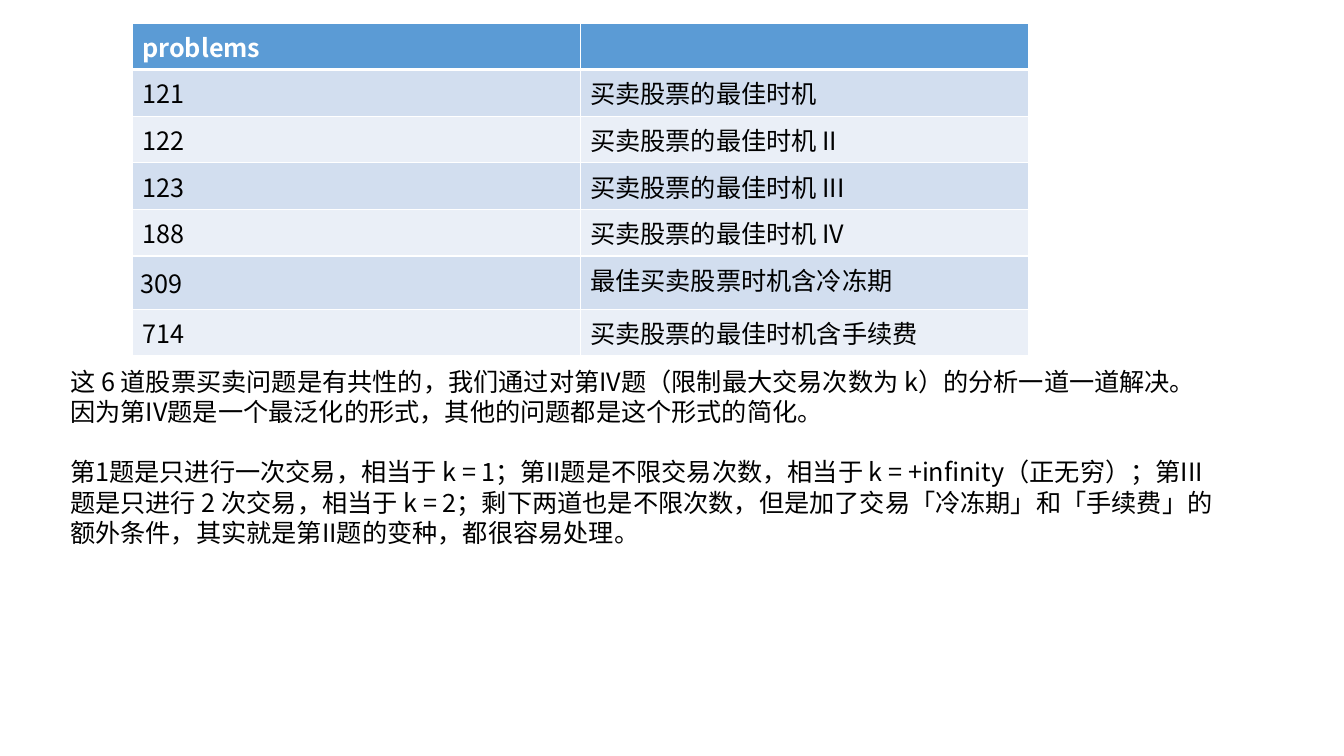
import pptx
import pptx.dml.color
import pptx.oxml.ns
import pptx.util
from lxml import etree

Cm, Pt = pptx.util.Cm, pptx.util.Pt
RGBColor = pptx.dml.color.RGBColor
qn = pptx.oxml.ns.qn

FONT = "Noto Sans CJK SC"
BLACK = RGBColor(0x00, 0x00, 0x00)
WHITE = RGBColor(0xFF, 0xFF, 0xFF)
HEADER_BLUE = RGBColor(0x5B, 0x9B, 0xD5)
BANDS = (RGBColor(0xD2, 0xDE, 0xEF), RGBColor(0xEA, 0xEF, 0xF7))

PROBLEMS = [
    ("problems", ""),
    ("121", "买卖股票的最佳时机"),
    ("122", "买卖股票的最佳时机 II"),
    ("123", "买卖股票的最佳时机 III"),
    ("188", "买卖股票的最佳时机 IV"),
    ("309", "最佳买卖股票时机含冷冻期"),
    ("714", "买卖股票的最佳时机含手续费"),
]
PADDED_PROBLEM = "309"

EXPLANATION = [
    "这 6 道股票买卖问题是有共性的，我们通过对第IV题（限制最大交易次数为 k）的分析"
    "一道一道解决。因为第IV题是一个最泛化的形式，其他的问题都是这个形式的简化。",
    "第1题是只进行一次交易，相当于 k = 1；第II题是不限交易次数，相当于 k = +infinity"
    "（正无穷）；第III题是只进行 2 次交易，相当于 k = 2；剩下两道也是不限次数，但是"
    "加了交易「冷冻期」和「手续费」的额外条件，其实就是第II题的变种，都很容易处理。",
]


def write(paragraph, text, color, bold=False):
    """Put text in a paragraph, with one font for Latin and Chinese."""
    paragraph.text = text
    font = paragraph.font
    font.name, font.size, font.bold = FONT, Pt(18), bold
    font.color.rgb = color
    properties = paragraph._p.pPr.find(qn("a:defRPr"))
    east_asian = etree.Element(qn("a:ea"), typeface=FONT)
    properties.find(qn("a:latin")).addnext(east_asian)


def underline_header(cell):
    """Draw the thick white rule below a header cell."""
    rule = etree.Element(qn("a:lnB"), w=str(Pt(3)))
    fill = etree.SubElement(rule, qn("a:solidFill"))
    etree.SubElement(fill, qn("a:srgbClr"), val=str(WHITE))
    cell._tc.get_or_add_tcPr().insert(0, rule)


def add_problem_table(slide):
    problems = slide.shapes.add_table(
        len(PROBLEMS), 2, Cm(3.33), Cm(0.58), Cm(22.58), Cm(7.21)).table
    for row, texts in enumerate(PROBLEMS):
        problems.rows[row].height = Cm(1.03)
        header = row == 0
        for column, text in enumerate(texts):
            cell = problems.cell(row, column)
            cell.fill.solid()
            cell.fill.fore_color.rgb = HEADER_BLUE if header else BANDS[(row - 1) % 2]
            write(cell.text_frame.paragraphs[0], text,
                  WHITE if header else BLACK, bold=header)
            if header:
                underline_header(cell)
            if text == PADDED_PROBLEM:
                cell.margin_left = cell.margin_right = Cm(0.21)
                cell.margin_top = cell.margin_bottom = Cm(0.21)


def add_explanation(slide):
    frame = slide.shapes.add_textbox(
        Cm(1.52), Cm(9.1), Cm(29.4), Cm(4.88)).text_frame
    frame.word_wrap = True
    for index, text in enumerate(EXPLANATION):
        paragraph = frame.add_paragraph() if index else frame.paragraphs[0]
        write(paragraph, text, BLACK)
        if index:
            paragraph.space_before = Pt(21.6)


def main():
    deck = pptx.Presentation()
    deck.slide_width, deck.slide_height = Cm(33.87), Cm(19.05)
    slide = deck.slides.add_slide(deck.slide_layouts[6])
    # Table of the six problems
    add_problem_table(slide)
    # What the problems have in common
    add_explanation(slide)
    deck.save("out.pptx")


main()
